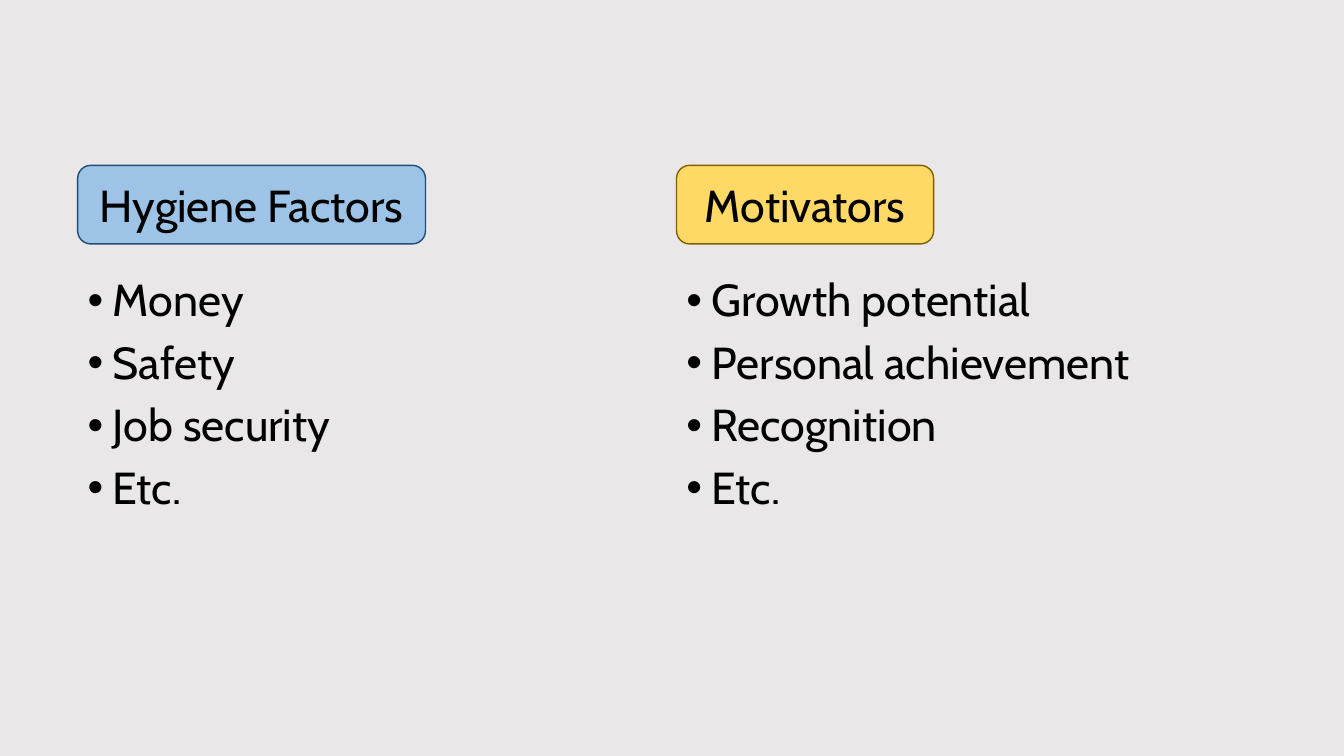
import pptx
import pptx.util
import pptx.dml.color
import pptx.enum.shapes
import pptx.enum.text
import pptx.oxml.ns
from lxml import etree

Inches = pptx.util.Inches
Pt = pptx.util.Pt


def color(code):
    return pptx.dml.color.RGBColor.from_string(code)


def style(para):
    para.font.name = "Cabin"
    para.font.size = Pt(32)
    para.font.color.rgb = color("000000")


def bullet(para):
    props = para._p.get_or_add_pPr()
    props.set("marL", str(Inches(0.25)))
    props.set("indent", str(Inches(-0.25)))
    face = etree.SubElement(props, pptx.oxml.ns.qn("a:buFont"))
    face.set("typeface", "Arial")
    mark = etree.SubElement(props, pptx.oxml.ns.qn("a:buChar"))
    mark.set("char", "•")


def header(slide, left, top, width, height, text, fill, edge):
    box = slide.shapes.add_shape(
        pptx.enum.shapes.MSO_SHAPE.ROUNDED_RECTANGLE,
        Inches(left), Inches(top), Inches(width), Inches(height))
    box.shadow.inherit = False
    box.fill.solid()
    box.fill.fore_color.rgb = color(fill)
    box.line.color.rgb = color(edge)
    box.line.width = Pt(1)
    frame = box.text_frame
    frame.vertical_anchor = pptx.enum.text.MSO_ANCHOR.MIDDLE
    para = frame.paragraphs[0]
    para.text = text
    para.alignment = pptx.enum.text.PP_ALIGN.CENTER
    style(para)


def points(slide, left, top, width, height, items):
    box = slide.shapes.add_textbox(
        Inches(left), Inches(top), Inches(width), Inches(height))
    frame = box.text_frame
    frame.word_wrap = True
    for i, item in enumerate(items):
        para = frame.add_paragraph() if i else frame.paragraphs[0]
        para.text = item
        para.line_spacing = 0.9
        para.space_before = Pt(10 if i else 0)
        bullet(para)
        style(para)


def column(slide, left, top, width, title, span, fill, edge, items):
    # Heading above its list
    header(slide, left, top, span, 0.78, title, fill, edge)
    points(slide, left, top + 1.07, width, 2.71, items)


def main():
    deck = pptx.Presentation()
    deck.slide_width = Inches(13.33)
    deck.slide_height = Inches(7.5)
    slide = deck.slides.add_slide(deck.slide_layouts[6])
    slide.background.fill.solid()
    slide.background.fill.fore_color.rgb = color("E9E7E7")

    # Two columns of factors
    column(slide, 0.77, 1.64, 5.75, "Hygiene Factors", 3.45,
           "9DC3E6", "1F4E79",
           ["Money", "Safety", "Job security", "Etc."])
    column(slide, 6.71, 1.64, 5.75, "Motivators", 2.55,
           "FFD966", "806000",
           ["Growth potential", "Personal achievement",
            "Recognition", "Etc."])
    deck.save("out.pptx")


if __name__ == "__main__":
    main()
